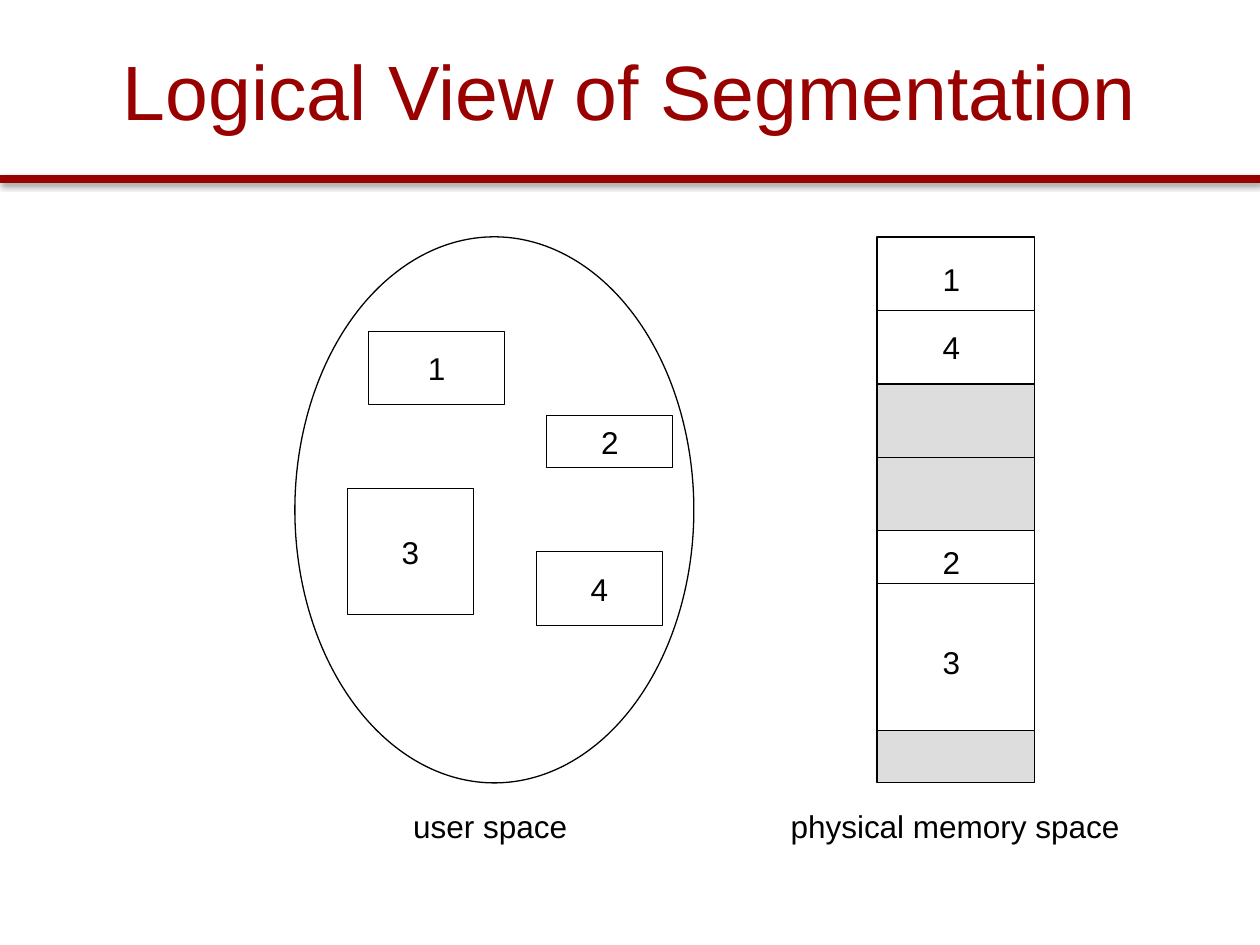
from lxml.etree import SubElement
from pptx import Presentation
from pptx.dml.color import RGBColor
from pptx.enum.shapes import MSO_CONNECTOR, MSO_SHAPE
from pptx.enum.text import MSO_ANCHOR, PP_ALIGN
from pptx.oxml.ns import qn
from pptx.util import Inches, Pt

RED, BLACK, WHITE, GRAY = "990000", "000000", "FFFFFF", "DDDDDD"
CELL = 1 / 12
TOP, ROWS = 1.88, 52
USER_COLUMNS, MEMORY_COLUMNS = 38, 15
USER_SEGMENTS = [
    ("1", 7, 9, 13, 7),
    ("3", 5, 24, 12, 12),
    ("2", 24, 17, 12, 5),
    ("4", 23, 30, 12, 7),
]
MEMORY_BLOCKS = [(14, WHITE, 7), (14, GRAY, 7), (19, WHITE, 5), (5, GRAY, None)]
MEMORY_LABELS = [("1", 4), ("4", 10.5), ("2", 31), ("3", 40.5)]


def color(value):
    return RGBColor.from_string(value)


def write(box, text, size=18, ink=BLACK, wrap=False):
    frame = box.text_frame
    frame.word_wrap = wrap
    frame.vertical_anchor = MSO_ANCHOR.MIDDLE
    para = frame.paragraphs[0]
    para.text = text
    para.alignment = PP_ALIGN.CENTER
    para.font.name = "Arial"
    para.font.size = Pt(size)
    para.font.color.rgb = color(ink)


def add_text(page, text, left, top, width, height, **style):
    box = page.shapes.add_textbox(*map(Inches, (left, top, width, height)))
    write(box, text, **style)


def add_outlined(page, kind, left, top, width, height, fill=WHITE):
    shape = page.shapes.add_shape(kind, *map(Inches, (left, top, width, height)))
    shape.shadow.inherit = False
    shape.fill.solid()
    shape.fill.fore_color.rgb = color(fill)
    shape.line.color.rgb = color(BLACK)
    shape.line.width = Pt(0.75)
    return shape


def add_line(page, left, top, width, ink, weight):
    line = page.shapes.add_connector(
        MSO_CONNECTOR.STRAIGHT, *map(Inches, (left, top, left + width, top)))
    line.line.color.rgb = color(ink)
    line.line.width = Pt(weight)
    effects = SubElement(line._element.spPr, qn("a:effectLst"))
    return line, effects


def add_heading(page, left, top, width, height):
    _, effects = add_line(page, left, top + height, width, RED, 5)
    shadow = SubElement(effects, qn("a:outerShdw"), blurRad=str(Pt(3.1)),
                        dist=str(Pt(1.6)), dir="5400000", rotWithShape="0")
    tint = SubElement(shadow, qn("a:srgbClr"), val=BLACK)
    SubElement(tint, qn("a:alpha"), val="38000")
    add_text(page, "Logical View of Segmentation", left + 0.05 * width, top + 0.09,
             0.9 * width, 1.25, size=44, ink=RED, wrap=True)


def add_user_space(page, left, top, width, height):
    add_outlined(page, MSO_SHAPE.OVAL, left, top, width, height)
    for name, column, row, columns, rows in USER_SEGMENTS:
        segment = add_outlined(page, MSO_SHAPE.RECTANGLE, left + column * CELL,
                               top + row * CELL, columns * CELL, rows * CELL)
        write(segment, name)
    add_text(page, "user space ", left + 0.84, top + height + 0.14, 1.49, 0.4)


def add_memory(page, left, top, width, height):
    block_top = top
    for rows, fill, split in MEMORY_BLOCKS:
        block = add_outlined(page, MSO_SHAPE.RECTANGLE, left, block_top,
                             width, rows * CELL, fill)
        if split:
            divider, _ = add_line(page, left, block_top + split * CELL,
                                  width, BLACK, 0.75)
            if 2 * split == rows:
                divider.begin_connect(block, 1)
                divider.end_connect(block, 3)
        block_top += rows * CELL
    for name, center in MEMORY_LABELS:
        add_text(page, name, left + 0.42, top + center * CELL - 0.2, 0.34, 0.4)
    add_text(page, "physical memory space", left + width / 2 - 1.41,
             top + height + 0.14, 2.81, 0.4)


def main():
    deck = Presentation()
    deck.slide_width, deck.slide_height = Inches(10), Inches(7.5)
    page = deck.slides.add_slide(deck.slide_layouts[6])
    add_heading(page, 0, 0, 10, 1.42)
    add_user_space(page, 2.34, TOP, USER_COLUMNS * CELL, ROWS * CELL)
    add_memory(page, 6.96, TOP, MEMORY_COLUMNS * CELL, ROWS * CELL)
    deck.save("out.pptx")


if __name__ == "__main__":
    main()
